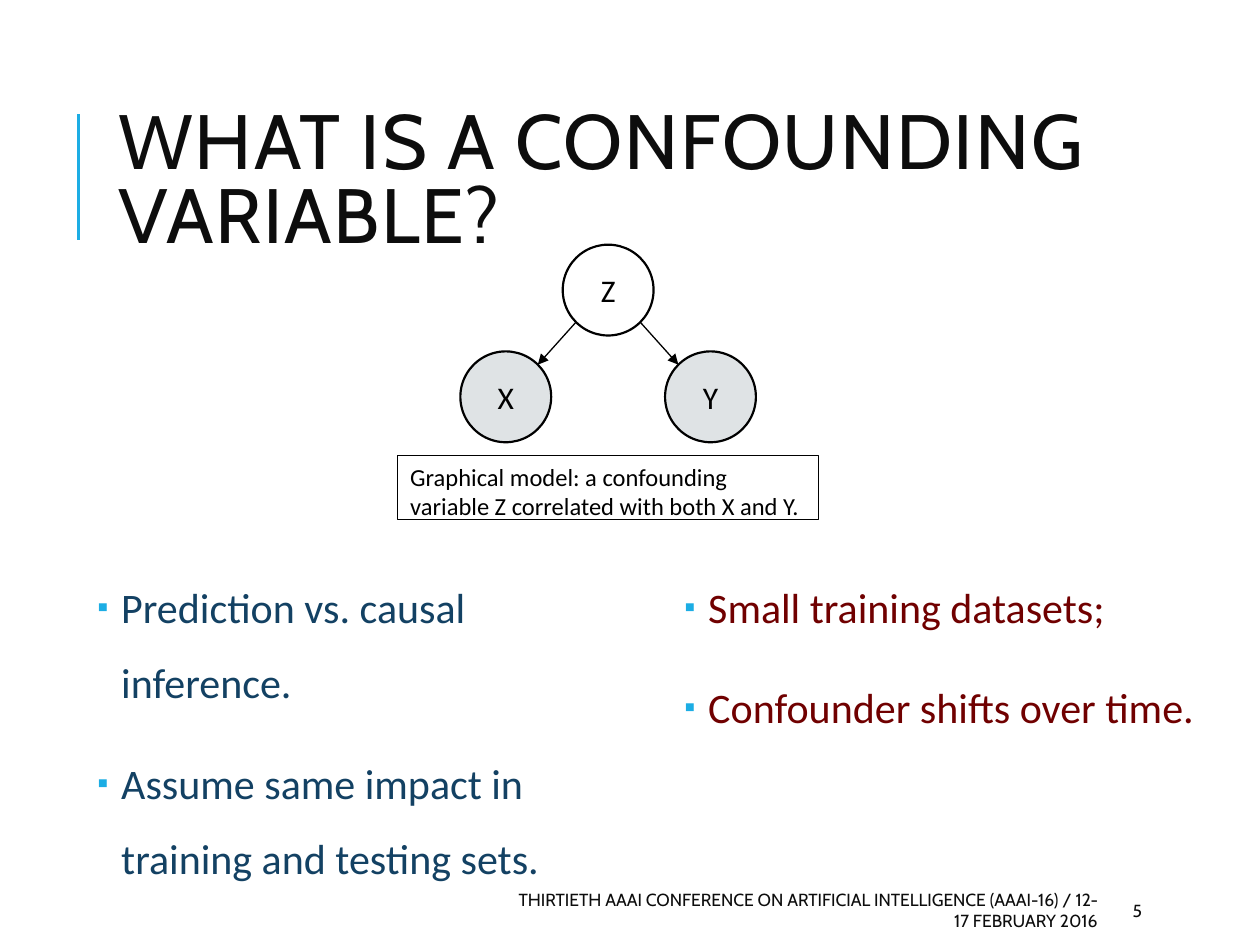
from lxml import etree
from pptx import Presentation
from pptx.dml.color import RGBColor
from pptx.enum.shapes import MSO_CONNECTOR, MSO_SHAPE
from pptx.enum.text import MSO_ANCHOR, MSO_AUTO_SIZE, PP_ALIGN
from pptx.oxml.ns import qn
from pptx.util import Pt

STRAIGHT = MSO_CONNECTOR.STRAIGHT
OVAL, RECT = MSO_SHAPE.OVAL, MSO_SHAPE.RECTANGLE
TOP, MIDDLE = MSO_ANCHOR.TOP, MSO_ANCHOR.MIDDLE
LEFT, CENTER, RIGHT = PP_ALIGN.LEFT, PP_ALIGN.CENTER, PP_ALIGN.RIGHT

COLORS = {"accent": "1CADE4", "ink": "0D0D0D", "black": "000000", "white": "FFFFFF",
          "observed": "DFE3E5", "blue": "134163", "red": "700000"}
HEAD, BODY = "Cabin", "Calibri"

TITLE = "WHAT IS A CONFOUNDING VARIABLE?"
CAPTION = "Graphical model: a confounding variable Z correlated with both X and Y."
# text, box (left, top, width, height), alignment
FOOTERS = [
    ("THIRTIETH AAAI CONFERENCE ON ARTIFICIAL INTELLIGENCE (AAAI-16) / 12-17 FEBRUARY 2016",
     (285.8, 509.4, 348.5, 21.6), RIGHT),
    ("5", (640.1, 509.4, 57.6, 21.6), LEFT),
]
# placeholder index, box, color, bullets
COLUMNS = [
    (1, (52, 314.2, 313.9, 178.6), "blue",
     ["Prediction vs. causal inference.",
      "Assume same impact in training and testing sets."]),
    (2, (387.4, 314.2, 309.6, 198.7), "red",
     ["Small training datasets;", "Confounder shifts over time."]),
]

# Graph: Z sits above and halfway between X and Y
NODE = 51.9
MID_X, Z_Y, CHILD_Y, SPREAD = 347.5, 139.8, 200.8, 58.5
NODES = [("Z", 0, Z_Y, "white"), ("Y", 1, CHILD_Y, "observed"), ("X", -1, CHILD_Y, "observed")]


def rgb(name):
    return RGBColor.from_string(COLORS[name])


def points(*values):
    return [Pt(round(v, 2)) for v in values]


def place(s, box):
    s.left, s.top, s.width, s.height = points(*box)


def frame(s, anchor, margin=None):
    tf = s.text_frame
    tf.word_wrap = True
    tf.auto_size = MSO_AUTO_SIZE.NONE
    tf.vertical_anchor = anchor
    if margin is not None:
        tf.margin_left = tf.margin_right = tf.margin_top = tf.margin_bottom = Pt(margin)
    return tf


def write(p, text, size, font, color, align=LEFT):
    p.alignment = align
    r = p.add_run()
    r.text = text
    r.font.size, r.font.name = Pt(size), font
    r.font.color.rgb = rgb(color)
    return r


def add_bullet(p):
    p.line_spacing, p.space_before, p.space_after = 1.5, Pt(12), Pt(2)
    pPr = p._p.get_or_add_pPr()
    pPr.set("marL", str(Pt(13.7)))
    pPr.set("indent", str(-Pt(13.7)))
    color = etree.SubElement(pPr, qn("a:buClr"))
    etree.SubElement(color, qn("a:srgbClr"), val=COLORS["accent"])
    etree.SubElement(pPr, qn("a:buSzPct"), val="75000")
    etree.SubElement(pPr, qn("a:buChar"), char="▪")


def add_box(slide, kind, box, fill, line_width):
    s = slide.shapes.add_shape(kind, *points(*box))
    s.shadow.inherit = False
    s.fill.solid()
    s.fill.fore_color.rgb = rgb(fill)
    s.line.color.rgb = rgb("black")
    s.line.width = Pt(line_width)
    return s


def add_line(slide, start, end, color, width, arrow=False):
    s = slide.shapes.add_connector(STRAIGHT, *points(*start, *end))
    s.line.color.rgb = rgb(color)
    s.line.width = Pt(width)
    if arrow:
        etree.SubElement(s.line._get_or_add_ln(), qn("a:tailEnd"), type="triangle")
    etree.SubElement(s._element.spPr, qn("a:effectLst"))


def add_graph(slide):
    for name, side, top, fill in NODES:
        box = (MID_X + side * SPREAD - NODE / 2, top, NODE, NODE)
        s = add_box(slide, OVAL, box, fill, 1.25)
        write(frame(s, MIDDLE).paragraphs[0], name, 18, BODY, "black", CENTER)

    # Arrows run between the diagonal rim points of the circles
    reach = NODE / 2 * 0.707
    z_mid, child_mid = Z_Y + NODE / 2, CHILD_Y + NODE / 2
    for side in (-1, 1):
        add_line(slide, (MID_X + side * reach, z_mid + reach),
                 (MID_X + side * (SPREAD - reach), child_mid - reach), "black", 0.75, True)

    s = add_box(slide, RECT, (227.3, 260.3, 240.5, 36.6), "white", 0.75)
    fill = s._element.spPr.find(qn("a:solidFill"))
    etree.SubElement(fill[0], qn("a:alpha"), val="70000")
    write(frame(s, TOP).paragraphs[0], CAPTION, 14, BODY, "black")


def main():
    prs = Presentation()
    prs.slide_width, prs.slide_height = Pt(720), Pt(540)
    slide = prs.slides.add_slide(prs.slide_layouts[3])

    add_line(slide, (44.9, 137.1), (44.9, 65.1), "accent", 1.5)

    s = slide.shapes.title
    place(s, (60.5, 46.1, 573.8, 118.1))
    p = frame(s, MIDDLE).paragraphs[0]
    p.line_spacing = 0.8
    r = write(p, TITLE, 44, HEAD, "ink")
    r._r.get_or_add_rPr().set("spc", "100")

    for text, box, align in FOOTERS:
        s = slide.shapes.add_textbox(*points(*box))
        write(frame(s, MIDDLE).paragraphs[0], text, 10, HEAD, "ink", align)

    for idx, box, color, bullets in COLUMNS:
        s = slide.placeholders[idx]
        place(s, box)
        tf = frame(s, TOP, 3.6)
        for i, text in enumerate(bullets):
            p = tf.add_paragraph() if i else tf.paragraphs[0]
            write(p, text, 24, BODY, color)
            add_bullet(p)

    add_graph(slide)
    prs.save("out.pptx")


if __name__ == "__main__":
    main()
